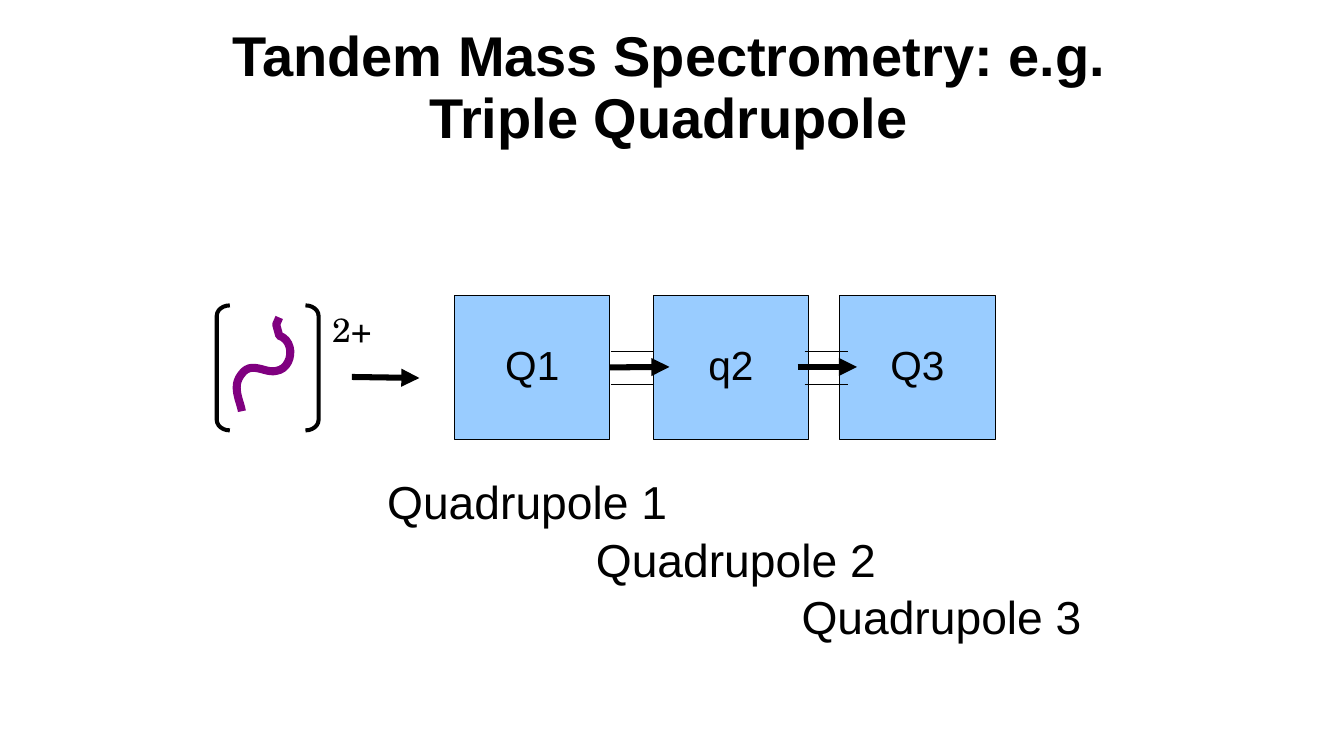
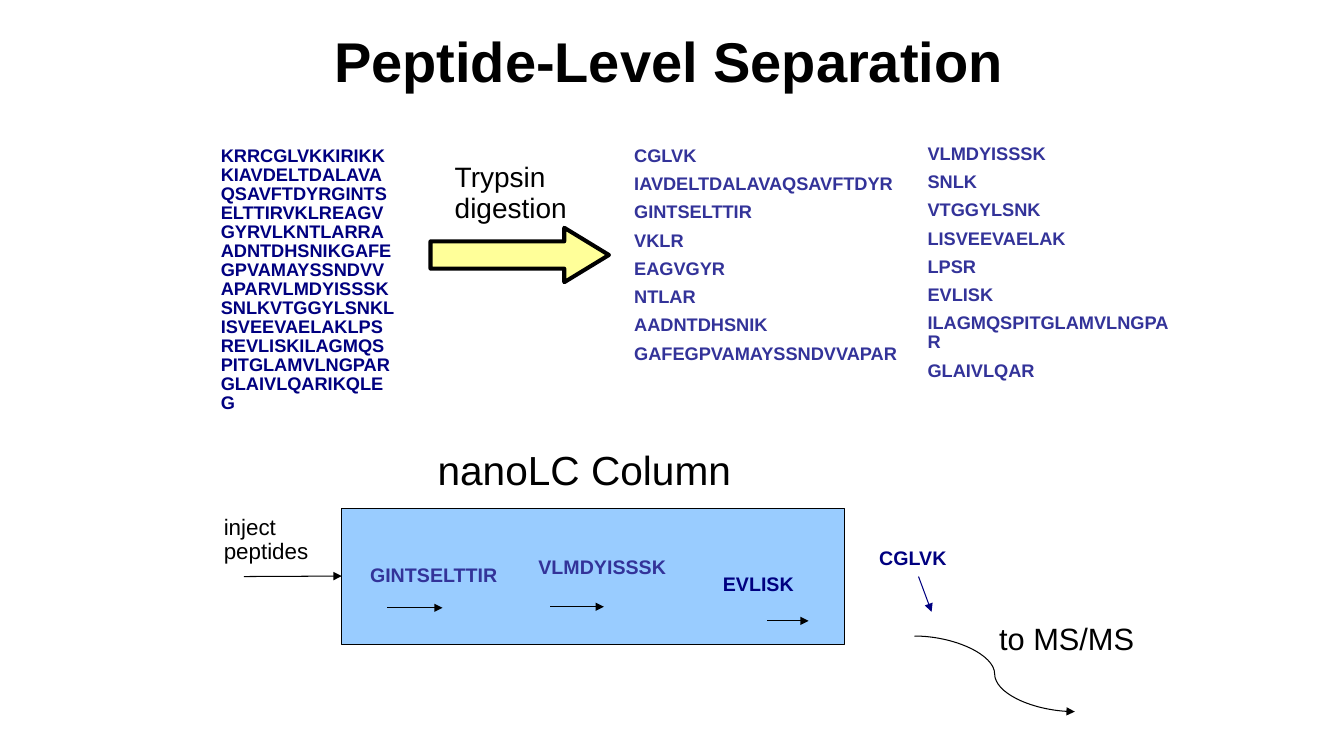
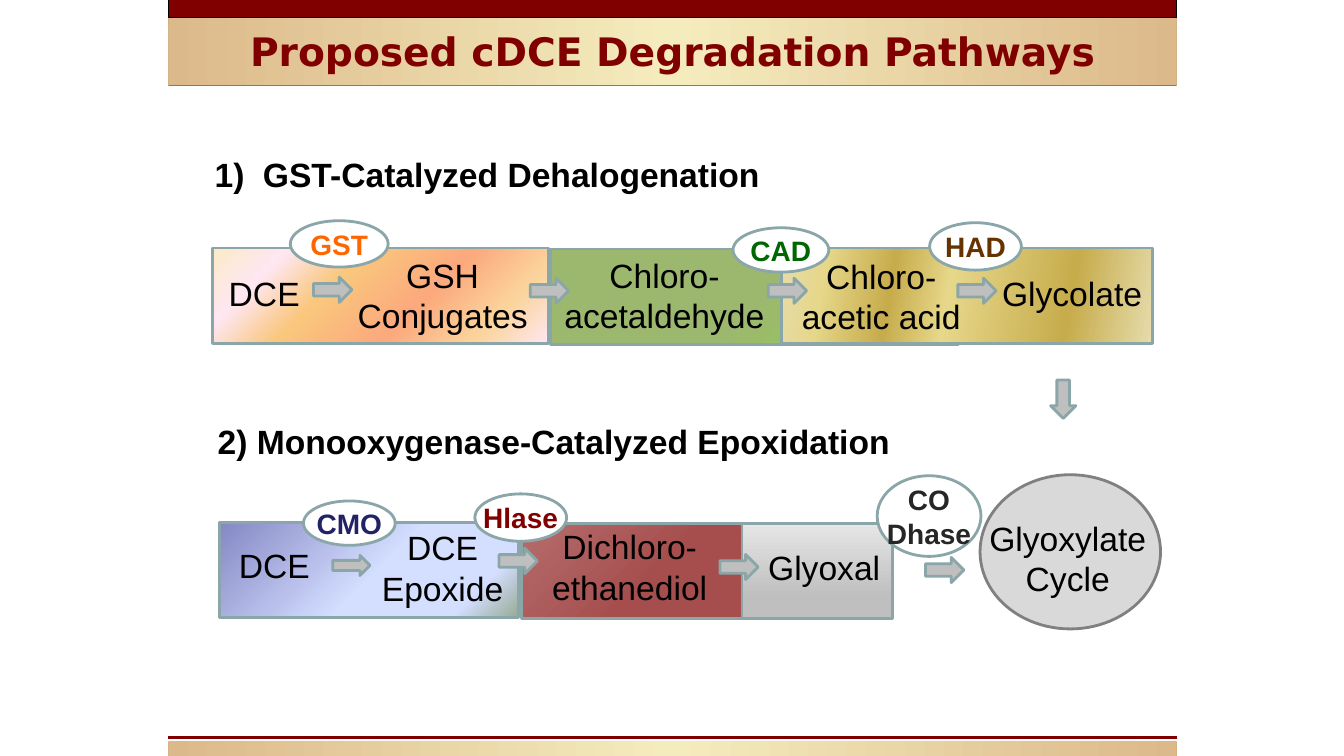
from lxml.etree import SubElement
from pptx import Presentation
from pptx.dml.color import RGBColor
from pptx.enum.shapes import MSO_CONNECTOR, MSO_SHAPE
from pptx.enum.text import MSO_ANCHOR, PP_ALIGN
from pptx.oxml.ns import qn
from pptx.util import Inches, Pt

BLACK = RGBColor(0x00, 0x00, 0x00)
WHITE = RGBColor(0xFF, 0xFF, 0xFF)
SKY = RGBColor(0x99, 0xCC, 0xFF)
NAVY = RGBColor(0x00, 0x00, 0x80)
INDIGO = RGBColor(0x33, 0x33, 0x99)
PURPLE = RGBColor(0x80, 0x00, 0x80)
YELLOW = RGBColor(0xFF, 0xFF, 0x99)
MAROON = RGBColor(0x80, 0x00, 0x00)
TEAL = RGBColor(0x8A, 0xA6, 0xA8)
SILVER = RGBColor(0xBF, 0xBF, 0xBF)
PALE = RGBColor(0xD9, 0xD9, 0xD9)
GRAY = RGBColor(0x80, 0x80, 0x80)
ORANGE = RGBColor(0xFF, 0x66, 0x00)
GREEN = RGBColor(0x00, 0x66, 0x00)
BROWN = RGBColor(0x66, 0x33, 0x00)
BLUE = RGBColor(0x22, 0x22, 0x67)
COAL = RGBColor(0x26, 0x26, 0x26)

TIGHT = (0.09, 0.04)
WIDE = (0.11, 0.06)
PLAIN = (0.1, 0.05)
CENTER = PP_ALIGN.CENTER
MIDDLE = MSO_ANCHOR.MIDDLE

QUADS = [("Q1", 4.51), ("q2", 6.48), ("Q3", 8.33)]
NAMES = [("Quadrupole 1", 3.75), ("Quadrupole 2", 5.82), ("Quadrupole 3", 7.86)]
LINKS = [(6.06, 6.48), (7.98, 8.41)]
BENDS = [
    [(2.4, 4.08), (2.38, 3.97), (2.3, 3.84), (2.39, 3.72)],
    [(2.39, 3.72), (2.49, 3.57), (2.63, 3.71), (2.74, 3.68)],
    [(2.74, 3.68), (2.9, 3.66), (2.94, 3.39), (2.77, 3.33)],
]
TIP = [(2.74, 3.22), (2.77, 3.15)]

PROTEIN = (
    "KRRCGLVKKIRIKKKIAVDELTDALAVAQSAVFTDYRGINTSELTTIRVKLREAGVGYRVLKNTLARRAADNTDHSNIK"
    "GAFEGPVAMAYSSNDVVAPARVLMDYISSSKSNLKVTGGYLSNKLISVEEVAELAKLPSREVLISKILAGMQSPITGLA"
    "MVLNGPARGLAIVLQARIKQLEG"
)
DIGESTS = [
    ((6.2, 1.42, 3.18, 3), ["CGLVK", "IAVDELTDALAVAQSAVFTDYR", "GINTSELTTIR", "VKLR",
                            "EAGVGYR", "NTLAR", "AADNTDHSNIK", "GAFEGPVAMAYSSNDVVAPAR"]),
    ((9.11, 1.4, 2.58, 2.8), ["VLMDYISSSK", "SNLK", "VTGGYLSNK", "LISVEEVAELAK",
                              "LPSR", "EVLISK", "ILAGMQSPITGLAMVLNGPAR", "GLAIVLQAR"]),
]
PEPTIDES = [
    ("GINTSELTTIR", (3.58, 5.58, 1.58, 0.69), INDIGO, (3.84, 6.03, 4.39, 6.03), BLACK),
    ("VLMDYISSSK", (5.25, 5.5, 1.9, 0.71), INDIGO, (5.46, 6.02, 5.99, 6.02), BLACK),
    ("EVLISK", (7.08, 5.67, 1.33, 0.88), NAVY, (7.61, 6.16, 8.02, 6.16), BLACK),
    ("CGLVK", (8.63, 5.41, 1.19, 0.58), NAVY, (9.11, 5.72, 9.24, 6.07), NAVY),
]
LABELS = [
    (["inject", "peptides"], (2.13, 5.09, 1.1, 0.6), 16, TIGHT, 0.87),
    (["to MS/MS"], (9.82, 6.16, 1.7, 0.43), 22, TIGHT, 0.87),
    (["nanoLC Column"], (4.25, 4.44, 3.3, 0.54), 29, TIGHT, 0.87),
    (["Trypsin", "digestion"], (4.4, 1.55, 1.5, 0.75), 20, WIDE, 0.93),
]

TAN = [(0, "DCB98A"), (50, "F5ECBD"), (100, "DCB98A")]
BANDS = [(0.17, 0.67), (7.35, 0.15)]
HEADS = [("1)\tGST-Catalyzed Dehalogenation", (2.03, 1.48, 8.15, 0.51)),
         ("2) Monooxygenase-Catalyzed Epoxidation", (2.06, 4.13, 7.38, 0.51))]
STAGES = [
    ((2.11, 2.46, 3.33), 45, [(0, "FBEAC7"), (18, "FEE7F2"), (36, "FAC77D"),
                              (61, "FBA97D"), (82, "FBD49C"), (100, "FEE7F2")]),
    ((5.46, 2.47, 4.05), 45, [(50, "9CB86E"), (100, "92D050"), (100, "156B13")]),
    ((7.75, 2.46, 3.68), 10, [(0, "E6DCAC"), (12, "E6D78A"), (30, "C7AC4C"),
                              (45, "E6D78A"), (77, "C7AC4C"), (100, "E6DCAC")]),
    ((2.18, 5.18, 2.96), 45, [(0, "8488C4"), (53, "D4DEFF"), (83, "D4DEFF"), (100, "96AB94")]),
    ((5.17, 5.19, 2.21), 45, [(0, "800000", 57), (56, "800000", 69)]),
    ((7.36, 5.19, 1.49), 270, [(23, "BFBFBF"), (100, "E6E6E6")]),
]
SINGLES = [("DCE", (2.17, 2.66, 0.95, 0.51)), ("Glycolate", (9.84, 2.66, 1.94, 0.51)),
           ("DCE", (2.27, 5.36, 2.41, 0.5)), ("Glyoxal", (7.52, 5.38, 1.41, 0.5))]
PAIRS = [("GSH Conjugates", 3.42, 2.48, 1.94), ("Chloro-acetaldehyde", 5.47, 2.48, 2.24),
         ("Chloro-acetic acid", 7.77, 2.49, 1.94), ("DCE Epoxide", 3.42, 5.18, 1.94),
         ("Dichloro-ethanediol", 5.3, 5.17, 1.89), ("Glyoxylate Cycle", 9.62, 5.09, 1.94)]
ENZYMES = [
    (["GST"], (2.88, 2.19, 0.97, 0.46), ORANGE),
    (["CAD"], (7.27, 2.26, 0.95, 0.44), GREEN),
    (["HAD"], (9.22, 2.21, 0.91, 0.47), BROWN),
    (["CMO"], (3.01, 4.97, 0.91, 0.44), BLUE),
    (["Hlase"], (4.71, 4.9, 0.91, 0.47), MAROON),
    (["CO", "Dhase"], (8.7, 4.72, 1.03, 0.8), COAL),
]
RIGHT, DOWN = MSO_SHAPE.RIGHT_ARROW, MSO_SHAPE.DOWN_ARROW
ARROWS = [(RIGHT, (x, y, 0.38, 0.25)) for x, y in
          [(3.11, 2.75), (5.26, 2.76), (7.62, 2.76), (9.5, 2.76),
           (4.95, 5.44), (7.14, 5.5), (9.18, 5.53)]]
ARROWS += [(RIGHT, (3.3, 5.51, 0.37, 0.2)), (DOWN, (10.42, 3.77, 0.25, 0.38))]


def apply(item, values):
    for key, value in values.items():
        setattr(item, key, value)


def inches(nums):
    return [Inches(n) for n in nums]


def write(shape, lines, size, color=BLACK, bold=False, face="Arial", pad=TIGHT,
          wrap=False, anchor=MSO_ANCHOR.TOP, align=PP_ALIGN.LEFT, space=1.0, after=0, tab=0):
    frame = shape.text_frame
    side, top = inches(pad)
    apply(frame, dict(word_wrap=wrap, vertical_anchor=anchor, margin_left=side,
                      margin_right=side, margin_top=top, margin_bottom=top))
    for i, line in enumerate(lines):
        para = frame.add_paragraph() if i else frame.paragraphs[0]
        apply(para, dict(alignment=align, line_spacing=space, space_after=Pt(after)))
        if tab:
            stops = SubElement(para._p.get_or_add_pPr(), qn("a:tabLst"))
            SubElement(stops, qn("a:tab"), pos=str(Inches(tab)), algn="l")
        run = para.add_run()
        run.text = line
        apply(run.font, dict(name=face, size=Pt(size), bold=bold))
        run.font.color.rgb = color


def label(slide, lines, spot, size, **look):
    write(slide.shapes.add_textbox(*inches(spot)), lines, size, **look)


def paint(shape, fill=None, line=None, width=0.75):
    shape.shadow.inherit = False
    for part, color in ((shape.fill, fill), (shape.line.fill, line)):
        if color is None:
            part.background()
        else:
            part.solid()
            part.fore_color.rgb = color
    if line is not None:
        shape.line.width = Pt(width)


def draw(slide, kind, spot, fill=None, line=None, width=0.75):
    shape = slide.shapes.add_shape(kind, *inches(spot))
    paint(shape, fill, line, width)
    return shape


def blend(shape, stops, angle):
    shape.fill.gradient()
    grad = shape.element.spPr.find(qn("a:gradFill"))
    bag = grad.find(qn("a:gsLst"))
    for old in list(bag):
        bag.remove(old)
    for pos, color, *alpha in stops:
        stop = SubElement(bag, qn("a:gs"), pos=str(pos * 1000))
        tone = SubElement(stop, qn("a:srgbClr"), val=color)
        for part in alpha:
            SubElement(tone, qn("a:alpha"), val=str(part * 1000))
    grad.find(qn("a:lin")).set("ang", str(angle * 60000))


def join(slide, ends, color=BLACK, width=0.75, head=True, kind=MSO_CONNECTOR.STRAIGHT):
    link = slide.shapes.add_connector(kind, *inches(ends))
    link.line.color.rgb = color
    link.line.width = Pt(width)
    props = link.element.spPr
    if head:
        SubElement(props.find(qn("a:ln")), qn("a:tailEnd"), type="triangle")
    SubElement(props, qn("a:effectLst"))
    return link


def title(slide, text, top):
    label(slide, [text], (2.13, top, 9, 1.16), 40, bold=True, pad=(0, 0), wrap=True,
          anchor=MIDDLE, align=CENTER, space=0.93)


def curve(bend, steps=12):
    for i in range(1, steps + 1):
        t = i / steps
        parts = ((1 - t) ** 3, 3 * t * (1 - t) ** 2, 3 * t * t * (1 - t), t ** 3)
        yield tuple(sum(w * p[axis] for w, p in zip(parts, bend)) for axis in (0, 1))


def tandem(slide):
    title(slide, "Tandem Mass Spectrometry: e.g. Triple Quadrupole", 0.3)
    quads = []
    for name, left in QUADS:
        quad = draw(slide, MSO_SHAPE.RECTANGLE, (left, 2.93, 1.54, 1.43), SKY, BLACK)
        write(quad, [name], 29, anchor=MIDDLE, align=CENTER, space=0.87)
        quads.append(quad)
    join(slide, (3.49, 3.74, 4.16, 3.75), width=4.31)
    join(slide, (6.05, 3.64, 6.64, 3.64), width=4.31).begin_connect(quads[0], 3)
    join(slide, (7.91, 3.64, 8.5, 3.64), width=4.31)
    for left, right in LINKS:
        for y in (3.49, 3.81):
            join(slide, (left, y, right, y), head=False)
    points = [inches(p) for bend in BENDS for p in curve(bend)] + [inches(p) for p in TIP]
    pen = slide.shapes.build_freeform(*inches(BENDS[0][0]))
    pen.add_line_segments(points, close=False)
    paint(pen.convert_to_shape(), line=PURPLE, width=5.75)
    label(slide, ["2+"], (3.19, 2.91, 0.8, 0.61), 24, face="TeX Gyre Schola", pad=WIDE, space=1.23)
    for kind, left in ((MSO_SHAPE.LEFT_BRACKET, 2.15), (MSO_SHAPE.RIGHT_BRACKET, 3.03)):
        draw(slide, kind, (left, 3.03, 0.13, 1.24), line=BLACK, width=2.89).adjustments[0] = 0.8
    for i, (name, left) in enumerate(NAMES):
        label(slide, [name], (left, 4.71 + 0.57 * i, 3.2, 0.6), 33, space=0.93)


def peptide(slide):
    title(slide, "Peptide-Level Separation", 0.05)
    column = draw(slide, MSO_SHAPE.RECTANGLE, (3.39, 5.04, 4.99, 1.35), SKY, BLACK)
    join(slide, (2.42, 5.72, 3.39, 5.72)).end_connect(column, 1)
    for name, spot, color, ends, tone in PEPTIDES:
        label(slide, [name], spot, 14, color=color, bold=True, wrap=True, space=0.87)
        join(slide, ends, tone)
    join(slide, (9.07, 6.31, 10.66, 7.06), kind=MSO_CONNECTOR.CURVE)
    label(slide, [PROTEIN], (2.1, 1.42, 1.9, 2.98), 13, color=NAVY, bold=True, wrap=True, space=0.87)
    for spot, names in DIGESTS:
        label(slide, names, spot, 13, color=INDIGO, bold=True, wrap=True, space=0.87, after=6.6)
    arrow = draw(slide, RIGHT, (4.27, 2.26, 1.77, 0.54), YELLOW, BLACK, 2.89)
    arrow.adjustments[1] = 0.82
    for lines, spot, size, pad, space in LABELS:
        label(slide, lines, spot, size, pad=pad, space=space)


def pathway(slide):
    for top, high in BANDS:
        band = draw(slide, MSO_SHAPE.RECTANGLE, (1.67, top, 10, high))
        blend(band, TAN, 0)
        glow = SubElement(band.element.spPr.find(qn("a:effectLst")), qn("a:outerShdw"),
                          dist=str(Pt(1)), dir="5400000", algn="t", rotWithShape="0")
        SubElement(glow, qn("a:srgbClr"), val="A3753D")
    join(slide, (1.67, 7.32, 11.67, 7.32), MAROON, 2.25, head=False)
    draw(slide, MSO_SHAPE.RECTANGLE, (1.67, 0, 10, 0.17), MAROON, BLACK)
    label(slide, ["Proposed cDCE Degradation Pathways"], (1.67, 0.22, 10, 0.57), 28, color=MAROON,
          bold=True, face="DejaVu Sans", pad=PLAIN, wrap=True, align=CENTER)
    for text, spot in HEADS:
        label(slide, [text], spot, 24, bold=True, pad=PLAIN, wrap=True,
              tab=0.48 if "\t" in text else 0)
    draw(slide, MSO_SHAPE.OVAL, (9.72, 4.71, 1.79, 1.53), PALE, GRAY, 2)
    for spot, angle, stops in STAGES:
        stage = draw(slide, MSO_SHAPE.RECTANGLE, (*spot, 0.95), WHITE, TEAL, 2)
        blend(stage, stops, angle)
    for text, spot in SINGLES:
        label(slide, [text], spot, 24, pad=PLAIN, wrap=True)
    for text, left, top, wide in PAIRS:
        label(slide, [text], (left, top, wide, 0.91), 24, pad=PLAIN, wrap=True, align=CENTER)
    for lines, spot, color in ENZYMES:
        oval = draw(slide, MSO_SHAPE.OVAL, spot, WHITE, TEAL, 2)
        write(oval, lines, 20, color, True, pad=(0, 0), anchor=MIDDLE, align=CENTER)
    for kind, spot in ARROWS:
        draw(slide, kind, spot, SILVER, TEAL, 2)


def main():
    deck = Presentation()
    apply(deck, dict(slide_width=Inches(13.33), slide_height=Inches(7.5)))
    for build in (tandem, peptide, pathway):
        build(deck.slides.add_slide(deck.slide_layouts[6]))
    deck.save("out.pptx")


if __name__ == "__main__":
    main()
